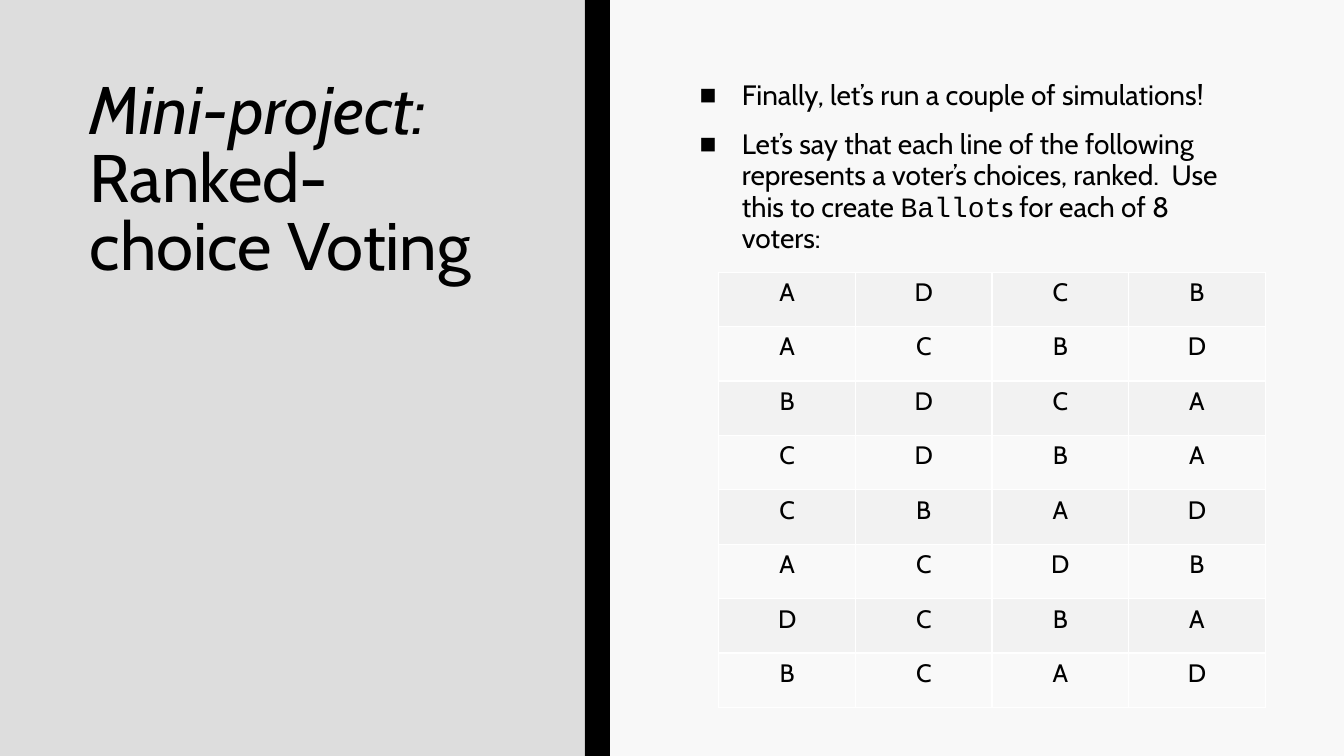
from dataclasses import dataclass

from lxml.etree import SubElement
from pptx import Presentation
from pptx.dml.color import RGBColor as Color
from pptx.enum.shapes import MSO_SHAPE as Shape
from pptx.enum.text import PP_ALIGN as Align
from pptx.oxml.ns import qn
from pptx.util import Inches, Pt


@dataclass(frozen=True)
class Theme:
    background: str = "F8F8F8"
    panel: str = "DDDDDD"
    ink: str = "000000"
    bands: tuple = ("F2F2F2", "F9F9F9")
    border: str = "FFFFFF"
    font: str = "Cabin"
    code_font: str = "Courier New"
    title_size: int = 48
    body_size: int = 20
    cell_size: int = 18


THEME = Theme()
WIDTH, HEIGHT = 13.33, 7.5
PANEL_WIDTH, STRIPE_WIDTH = 5.8, 0.25

TITLE = [("Mini-project:", True), (" Ranked-choice Voting", False)]
BULLETS = [
    [("Finally, let’s run a couple of simulations!", THEME.font)],
    [
        ("Let’s say that each line of the following represents a voter’s "
         "choices, ranked.  Use this to create ", THEME.font),
        ("Ballot", THEME.code_font),
        ("s for each of 8 voters:", THEME.font),
    ],
]
BALLOTS = ["ADCB", "ACBD", "BDCA", "CDBA", "CBAD", "ACDB", "DCBA", "BCAD"]


def paint(fill, color):
    fill.solid()
    fill.fore_color.rgb = Color.from_string(color)


def add_span(para, text, size, font=THEME.font, italic=False):
    span = para.add_run()
    span.text = text
    span.font.name = font
    span.font.size = Pt(size)
    span.font.italic = italic
    span.font.color.rgb = Color.from_string(THEME.ink)


def add_text_frame(page, box):
    frame = page.shapes.add_textbox(*map(Inches, box)).text_frame
    frame.word_wrap = True
    return frame


def add_bullet(para, indent):
    props = para._p.get_or_add_pPr()
    props.set("marL", str(Inches(indent)))
    props.set("indent", str(-Inches(indent)))
    SubElement(props, qn("a:buFont"), typeface="Arial")
    SubElement(props, qn("a:buChar"), char="■")


def add_borders(cell, color, width):
    props = cell._tc.get_or_add_tcPr()
    for side in ("lnL", "lnR", "lnT", "lnB"):
        line = SubElement(props, qn(f"a:{side}"), w=str(Pt(width)))
        SubElement(SubElement(line, qn("a:solidFill")), qn("a:srgbClr"), val=color)


def draw_backdrop(page):
    paint(page.background.fill, THEME.background)
    for left, width, color in (
        (0, PANEL_WIDTH, THEME.panel),
        (PANEL_WIDTH, STRIPE_WIDTH, THEME.ink),
    ):
        band = page.shapes.add_shape(
            Shape.RECTANGLE, Inches(left), 0, Inches(width), Inches(HEIGHT))
        band.shadow.inherit = False
        paint(band.fill, color)
        band.line.fill.background()


def draw_title(page, box):
    para = add_text_frame(page, box).paragraphs[0]
    para.line_spacing = 0.84
    for text, italic in TITLE:
        add_span(para, text, THEME.title_size, italic=italic)


def draw_bullets(page, box):
    frame = add_text_frame(page, box)
    for index, spans in enumerate(BULLETS):
        para = frame.add_paragraph() if index else frame.paragraphs[0]
        para.line_spacing = 0.94
        para.space_before, para.space_after = Pt(10), Pt(2)
        add_bullet(para, 0.42)
        for text, font in spans:
            add_span(para, text, THEME.body_size, font)


def draw_ballots(page, box):
    rows, columns = len(BALLOTS), len(BALLOTS[0])
    table = page.shapes.add_table(rows, columns, *map(Inches, box)).table
    table.first_row = False
    for row, ballot in enumerate(BALLOTS):
        for column, choice in enumerate(ballot):
            cell = table.cell(row, column)
            add_borders(cell, THEME.border, 1)
            paint(cell.fill, THEME.bands[row % 2])
            para = cell.text_frame.paragraphs[0]
            para.alignment = Align.CENTER
            add_span(para, choice, THEME.cell_size)


def main():
    deck = Presentation()
    deck.slide_width, deck.slide_height = Inches(WIDTH), Inches(HEIGHT)
    page = deck.slides.add_slide(deck.slide_layouts[6])
    top = HEIGHT / 10
    draw_backdrop(page)
    draw_title(page, (0.79, top, 4.22, 2.36))
    draw_bullets(page, (6.84, top, 5.7, 2.1))
    draw_ballots(page, (7.13, 2.7, 5.42, 4.32))
    deck.save("out.pptx")


if __name__ == "__main__":
    main()
